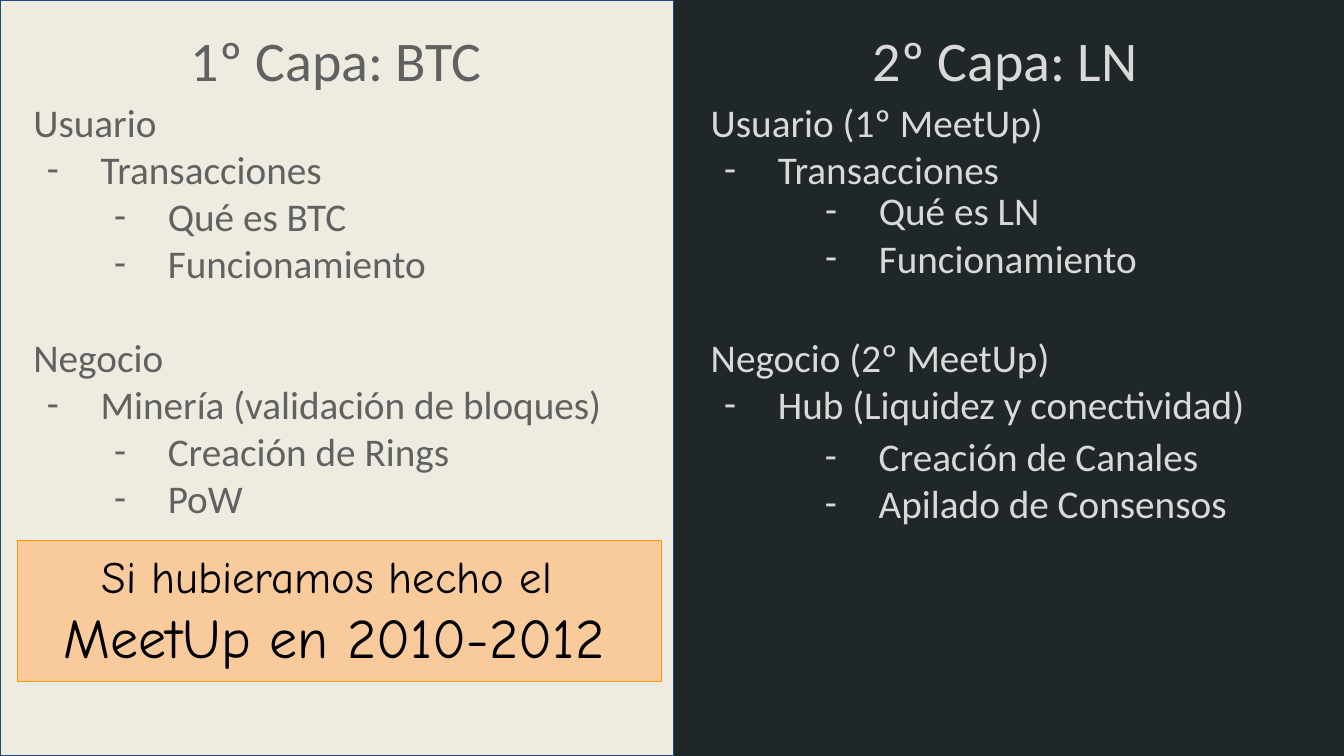
"""Build a two-panel slide comparing the first layer (BTC) with the second (LN)."""
from pptx import Presentation
from pptx import util as u
from pptx.dml.color import RGBColor
from pptx.enum import shapes, text
from pptx.oxml.ns import qn
from lxml import etree

WIDTH = 10
HEIGHT = WIDTH * 9 / 16
GREY, LIGHT = "616161", "D9D9D9"
LINE = 25.2

TITLES = [("1º Capa: BTC", 0.29, GREY), ("2º Capa: LN", 5.27, LIGHT)]
TITLE_TOP, TITLE_SIZE = -0.04, (4.42, 0.83)

LISTS = [
    ((0.15, 0.63, 4.71, 3.29), GREY, [
        (0, "Usuario", 0),
        (1, "Transacciones", 0),
        (2, "Qué es BTC", 0),
        (2, "Funcionamiento", 0),
        (0, "Negocio", 1),
        (1, "Minería (validación de bloques)", 0),
        (2, "Creación de Rings", 0),
        (2, "PoW", 0)]),
    ((5.19, 0.63, 4.5, 1.91), LIGHT, [
        (0, "Usuario (1º MeetUp)", 0),
        (1, "Transacciones", 0),
        (0, "Negocio (2º MeetUp)", 3),
        (1, "Hub (Liquidez y conectividad)", 0)]),
    ((5.94, 1.29, 3.69, 1.64), LIGHT, [
        (1, "Qué es LN", 0),
        (1, "Funcionamiento", 0)]),
    ((5.94, 3.12, 3.9, 1.64), LIGHT, [
        (1, "Creación de Canales", 0),
        (1, "Apilado de Consensos", 0)]),
]
PANELS = [((0, 0, WIDTH / 2 + 0.01, HEIGHT), "EEECE1", "1F497D"),
          ((0.13, 4.02, 4.79, 1.05), "F9CB9C", "FF9900")]
REMARK_BOX = (0.09, 3.98, 4.79, 1.57)
REMARK = [("Si hubieramos hecho el ", 24), ("MeetUp en 2010-2012", 30)]


def rgb(value):
    return RGBColor.from_string(value)


def inches(box):
    return [u.Inches(length) for length in box]


def add_panel(slide, box, fill, line):
    panel = slide.shapes.add_shape(shapes.MSO_SHAPE.RECTANGLE, *inches(box))
    panel.shadow.inherit = False
    panel.fill.solid()
    panel.fill.fore_color.rgb = rgb(fill)
    panel.line.color.rgb = rgb(line)
    panel.line.width = u.Pt(0.75)


def prepare(frame, anchor=text.MSO_ANCHOR.TOP):
    frame.word_wrap = True
    frame.auto_size = text.MSO_AUTO_SIZE.NONE
    frame.vertical_anchor = anchor
    frame.margin_left = frame.margin_right = u.Inches(0.1)
    frame.margin_top = frame.margin_bottom = u.Inches(0.1)
    return frame


def style(paragraph, size, colour, font="Calibri"):
    for run in paragraph.runs:
        run.font.size = u.Pt(size)
        run.font.name = font
        run.font.color.rgb = rgb(colour)


def add_dash(paragraph, level, colour):
    props = paragraph._p.get_or_add_pPr()
    props.set("marL", str(u.Inches(0.5 * level)))
    props.set("indent", str(u.Inches(-0.4)))
    bullet_colour = etree.SubElement(props, qn("a:buClr"))
    etree.SubElement(bullet_colour, qn("a:srgbClr"), val=colour)
    etree.SubElement(props, qn("a:buFont"), typeface="Calibri")
    etree.SubElement(props, qn("a:buChar"), char="-")


def add_lines(slide, box, lines):
    frame = prepare(slide.shapes.add_textbox(*inches(box)).text_frame)
    frame.text = "\n".join(lines)
    return frame.paragraphs


def add_title(title, wording, left, colour):
    title.left, title.top = inches((left, TITLE_TOP))
    title.width, title.height = inches(TITLE_SIZE)
    frame = prepare(title.text_frame, text.MSO_ANCHOR.BOTTOM)
    frame.text = wording
    frame.paragraphs[0].alignment = text.PP_ALIGN.CENTER
    style(frame.paragraphs[0], 30, colour)


def main():
    deck = Presentation()
    deck.slide_width, deck.slide_height = inches((WIDTH, HEIGHT))
    slide = deck.slides.add_slide(deck.slide_layouts[5])
    slide.background.fill.solid()
    slide.background.fill.fore_color.rgb = rgb("202729")

    for panel in PANELS:
        add_panel(slide, *panel)

    first_title = slide.shapes.title
    slide.shapes._spTree.append(first_title._element)
    second_title = slide.shapes.add_textbox(0, 0, 0, 0)
    for title, content in zip((first_title, second_title), TITLES):
        add_title(title, *content)

    for box, colour, items in LISTS:
        paragraphs = add_lines(slide, box, [wording for _, wording, _ in items])
        for paragraph, (level, _, blanks) in zip(paragraphs, items):
            if blanks:
                paragraph.space_before = u.Pt(blanks * LINE)
            if level:
                paragraph.level = level - 1
                add_dash(paragraph, level, colour)
            style(paragraph, 21, colour)

    paragraphs = add_lines(slide, REMARK_BOX, [wording for wording, _ in REMARK])
    for paragraph, (_, size) in zip(paragraphs, REMARK):
        paragraph.alignment = text.PP_ALIGN.CENTER
        style(paragraph, size, "000000", "Comic Neue")

    deck.save("out.pptx")


if __name__ == "__main__":
    main()
